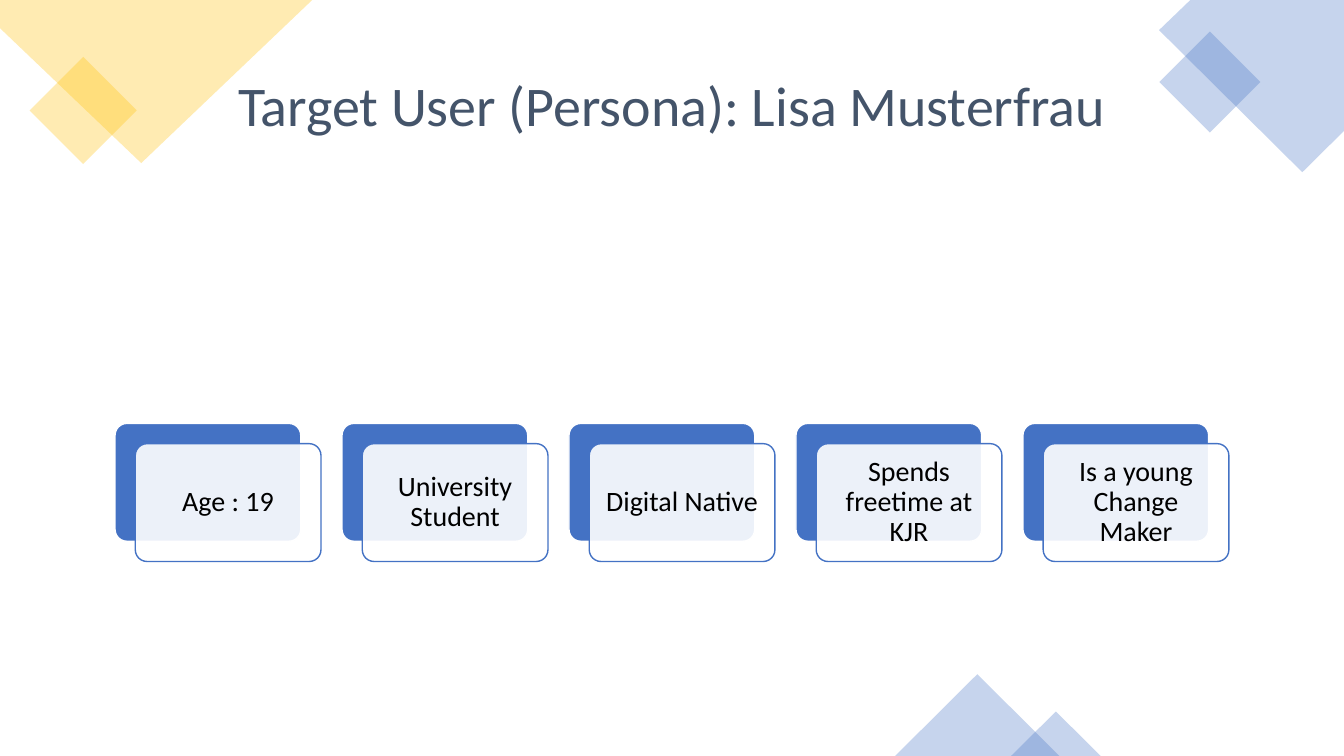
import pptx
import pptx.util
import pptx.dml.color
import pptx.enum.shapes
import pptx.enum.text
import pptx.oxml

Cm, Pt = pptx.util.Cm, pptx.util.Pt
KIND = pptx.enum.shapes.MSO_SHAPE
TITLE = "Target User (Persona): Lisa Musterfrau"
FACTS = ["Age : 19", "University Student", "Digital Native",
         "Spends freetime at KJR", "Is a young Change Maker"]
GOLD, BLUE, SLATE, WHITE, BLACK = "FFC000", "4472C4", "44546A", "FFFFFF", "000000"
FADE = 30
CORNERS = [
    (GOLD, [(0, 0), (7.87, 0), (3.56, 4.11), (0, 0.71)]),
    (BLUE, [(30, 0), (33.87, 0), (33.87, 3.3), (32.82, 4.34), (29.21, 0.76)]),
]
SQUARES = [(GOLD, 1.14, 1.83, 1.91), (BLUE, 29.59, 1.17, 1.8)]
PEAKS = [(22.56, 16.99, 4.14, 2.06), (25.48, 17.93, 2.26, 1.12)]
LEFT, TOP, WIDE, HIGH = 2.9, 10.67, 4.68, 2.97
STEP, SHIFT = 5.72, 0.51


def tint(form, color, alpha=100):
    """Set a solid fill or font colour with an opacity in percent."""
    form.solid()
    form.fore_color.rgb = pptx.dml.color.RGBColor.from_string(color)
    if alpha < 100:
        node = form._xPr.find(".//" + pptx.oxml.ns.qn("a:srgbClr"))
        part = pptx.oxml.parse_xml(
            f'<a:alpha {pptx.oxml.ns.nsdecls("a")} val="{alpha * 1000}"/>')
        node.append(part)


def style(shape, color, alpha=100, edge=None):
    """Fill a shape and give it an edge or none."""
    shape.shadow.inherit = False
    tint(shape.fill, color, alpha)
    if edge:
        tint(shape.line.fill, edge)
        shape.line.width = Pt(1)
    else:
        shape.line.fill.background()


def add(slide, kind, box, color, alpha=100, edge=None):
    """Add a styled preset shape at a box given in centimetres."""
    shape = slide.shapes.add_shape(kind, *map(Cm, box))
    style(shape, color, alpha, edge)
    return shape


def write(shape, text, size, color):
    """Put one centred paragraph into a shape."""
    frame = shape.text_frame
    frame.text = text
    frame.word_wrap = True
    frame.vertical_anchor = pptx.enum.text.MSO_ANCHOR.MIDDLE
    para = frame.paragraphs[0]
    para.alignment = pptx.enum.text.PP_ALIGN.CENTER
    para.line_spacing = 0.9
    font = para.runs[0].font
    font.name, font.size = "Calibri", Pt(size)
    tint(font.fill, color)
    return frame


def decor(slide):
    """Draw the translucent corner shapes."""
    for color, points in CORNERS:
        spots = [(Cm(x), Cm(y)) for x, y in points]
        form = slide.shapes.build_freeform(*spots[0])
        form.add_line_segments(spots[1:], close=True)
        style(form.convert_to_shape(), color, FADE)
    for color, x, y, side in SQUARES:
        add(slide, KIND.RECTANGLE, (x, y, side, side), color, FADE).rotation = 45
    for box in PEAKS:
        add(slide, KIND.ISOSCELES_TRIANGLE, box, BLUE, FADE)


def cards(slide):
    """Draw one pair of overlapping cards for each fact."""
    for i, fact in enumerate(FACTS):
        x = LEFT + i * STEP
        back = add(slide, KIND.ROUNDED_RECTANGLE, (x, TOP, WIDE, HIGH),
                   BLUE, edge=WHITE)
        front = add(slide, KIND.ROUNDED_RECTANGLE,
                    (x + SHIFT, TOP + SHIFT, WIDE, HIGH), WHITE, 90, BLUE)
        back.adjustments[0] = front.adjustments[0] = 0.1
        frame = write(front, fact, 20, BLACK)
        frame.margin_left = frame.margin_right = Cm(0.2)
        frame.margin_top = frame.margin_bottom = Cm(0.2)


def main():
    """Build and save the slide."""
    deck = pptx.Presentation()
    deck.slide_width, deck.slide_height = Cm(33.87), Cm(19.05)
    slide = deck.slides.add_slide(deck.slide_layouts[6])
    decor(slide)
    title = slide.shapes.add_textbox(Cm(3.28), Cm(0.89), Cm(27.3), Cm(3.68))
    write(title, TITLE, 40, SLATE)
    cards(slide)
    deck.save("out.pptx")


if __name__ == "__main__":
    main()
